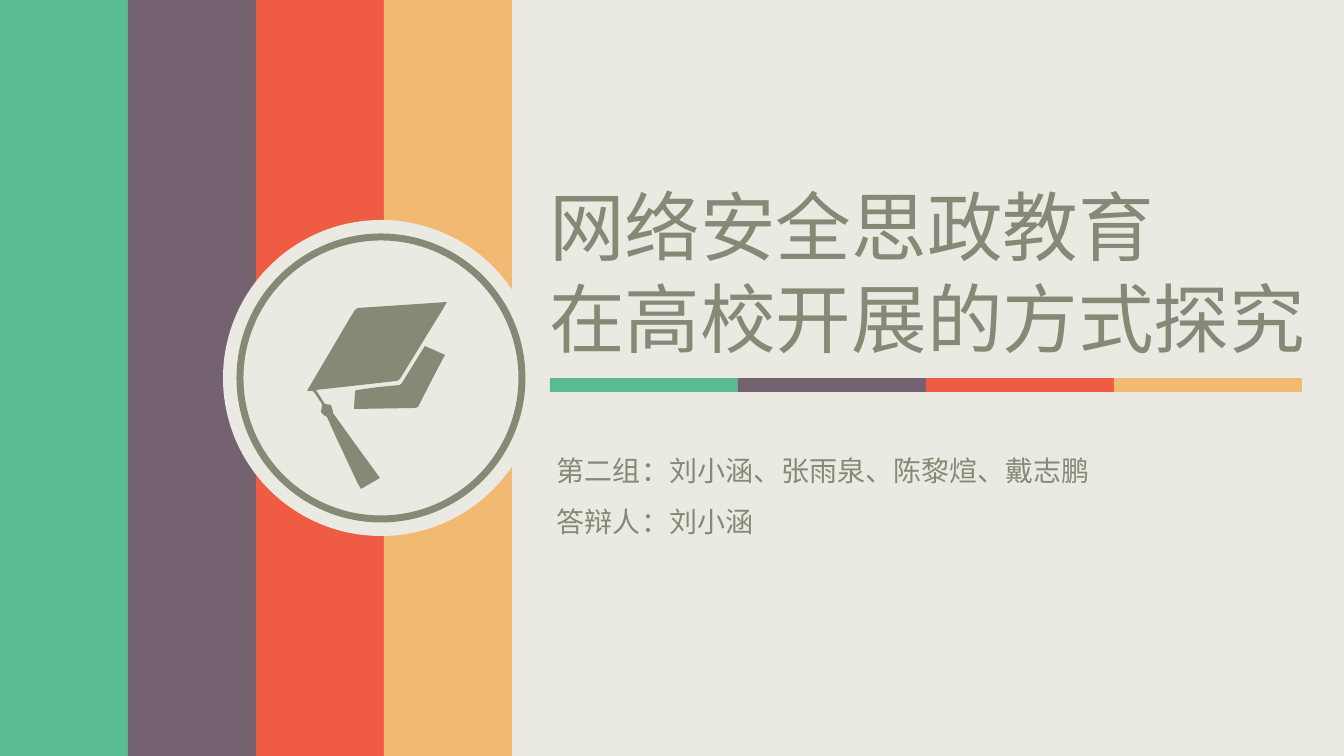
from dataclasses import dataclass

from lxml.etree import SubElement
from pptx import Presentation
from pptx.dml.color import RGBColor
from pptx.enum.shapes import MSO_SHAPE
from pptx.enum.text import MSO_ANCHOR, MSO_AUTO_SIZE, PP_ALIGN
from pptx.oxml.ns import qn
from pptx.util import Emu, Pt

W, H = 1344, 756
SCALE = 12192000 / W


@dataclass(frozen=True)
class Theme:
    paper: str = "EBEAE2"
    ink: str = "858976"
    bands: tuple = ("5ABB93", "756271", "EF5B43", "F2B973")
    font: str = "Noto Sans CJK SC"
    title_size: float = 54
    title_pitch: float = 65.5
    team_size: float = 20
    team_pitch: float = 36.4
    ring_width: float = 5


THEME = Theme()

BOARD_AND_TASSEL = [
    (93, 170), (102, 184), (108, 185), (110, 191), (110, 193), (133, 225),
    (157, 258), (138, 269), (134, 262), (113, 217), (104, 197), (102, 196),
    (98, 192), (99, 186), (99, 184), (91, 172), (89, 171), (84, 171),
    (127, 98), (132, 90), (135, 88), (210, 83), (224, 82), (220, 89),
    (177, 159), (174, 161),
]
CAP_BASE = [
    (131, 189), (132, 171), (134, 170), (156, 167), (177, 165), (179, 163),
    (200, 129), (202, 126), (222, 135), (215, 148), (195, 187), (192, 188),
]


def px(n):
    return Emu(round(n * SCALE))


def paint(sp, color):
    sp.shadow.inherit = False
    sp.fill.solid()
    sp.fill.fore_color.rgb = RGBColor.from_string(color)
    sp.line.fill.background()


def add_preset(s, kind, box, color):
    sp = s.shapes.add_shape(kind, *map(px, box))
    paint(sp, color)
    return sp


def add_bands(s, box):
    x, y, w, h = box
    step = w // len(THEME.bands)
    for i, color in enumerate(THEME.bands):
        add_preset(s, MSO_SHAPE.RECTANGLE, (x + i * step, y, step, h), color)


def add_emblem(s, box):
    x, y, w, h = box
    add_preset(s, MSO_SHAPE.OVAL, box, THEME.paper)
    inset = 17
    ring_box = (x + inset, y + inset, w - 2 * inset, h - 2 * inset)
    ring = add_preset(s, MSO_SHAPE.OVAL, ring_box, THEME.paper)
    ring.fill.background()
    ring.line.color.rgb = RGBColor.from_string(THEME.ink)
    ring.line.width = Pt(THEME.ring_width)
    for outline in (BOARD_AND_TASSEL, CAP_BASE):
        fb = s.shapes.build_freeform(*outline[0], scale=SCALE)
        fb.add_line_segments(outline[1:], close=True)
        paint(fb.convert_to_shape(px(x), px(y)), THEME.ink)


def write_lines(sp, box, lines, size, pitch):
    sp.left, sp.top, sp.width, sp.height = map(px, box)
    tf = sp.text_frame
    tf.word_wrap = True
    tf.auto_size = MSO_AUTO_SIZE.NONE
    tf.vertical_anchor = MSO_ANCHOR.TOP
    for i, line in enumerate(lines):
        p = tf.add_paragraph() if i else tf.paragraphs[0]
        p.alignment = PP_ALIGN.LEFT
        p.line_spacing = Pt(pitch)
        p.space_before = p.space_after = Pt(0)
        r = p.add_run()
        r.text = line
        r.font.size = Pt(size)
        r.font.name = THEME.font
        r.font.color.rgb = RGBColor.from_string(THEME.ink)
        SubElement(r.font._element, qn("a:ea")).set("typeface", THEME.font)


def add_title(s, box):
    lines = ("网络安全思政教育", "在高校开展的方式探究")
    write_lines(s.shapes.title, box, lines, THEME.title_size, THEME.title_pitch)


def add_team(s, box):
    lines = ("第二组：刘小涵、张雨泉、陈黎煊、戴志鹏", "答辩人：刘小涵")
    sp = s.shapes.add_textbox(*map(px, box))
    write_lines(sp, box, lines, THEME.team_size, THEME.team_pitch)


def build_cover(prs):
    s = prs.slides.add_slide(prs.slide_layouts[5])
    s.background.fill.solid()
    s.background.fill.fore_color.rgb = RGBColor.from_string(THEME.paper)
    add_bands(s, (0, 0, 512, H))
    add_bands(s, (550, 378, 752, 14))
    add_emblem(s, (223, 220, 316, 316))
    add_title(s, (539, 174, 784, 194))
    add_team(s, (547, 431, 558, 106))


def main():
    prs = Presentation()
    prs.slide_width, prs.slide_height = px(W), px(H)
    build_cover(prs)
    prs.save("out.pptx")


if __name__ == "__main__":
    main()
